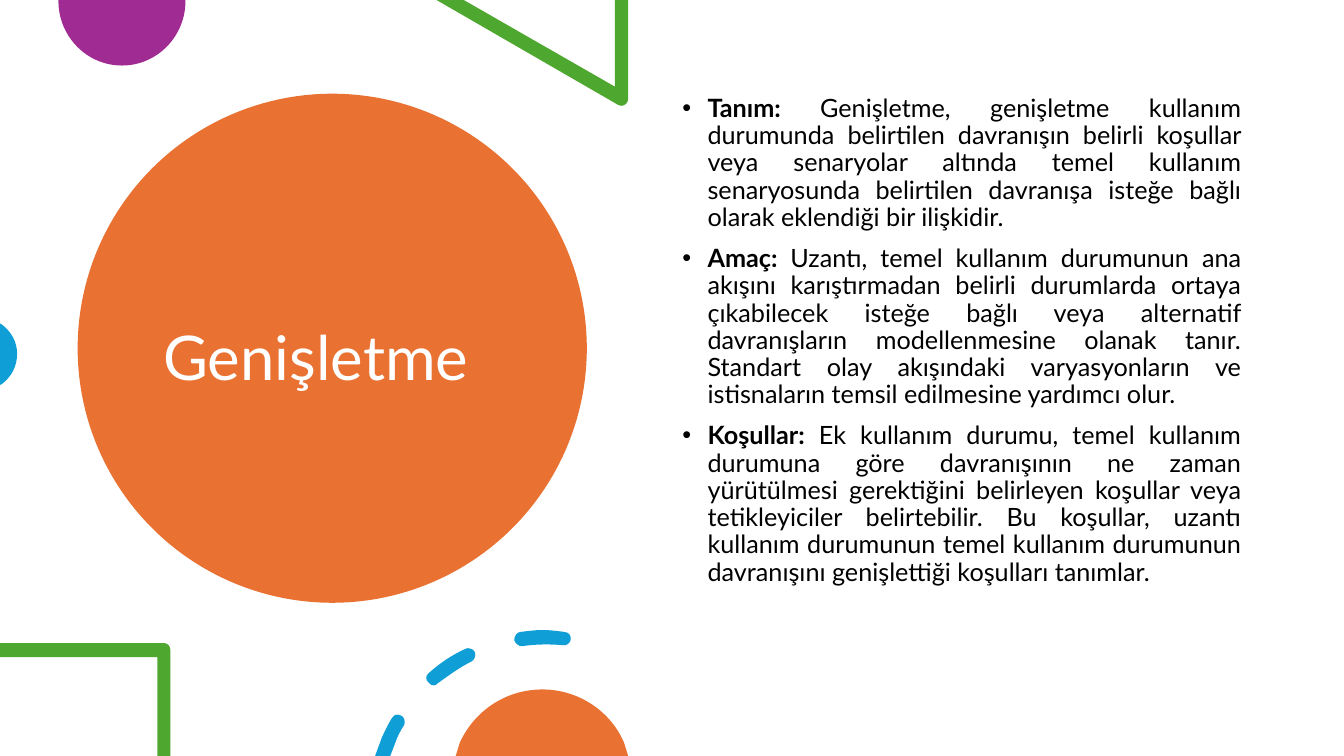
"""Build the Genişletme slide."""
from lxml import etree
from pptx import Presentation
from pptx import util as u
from pptx.dml.color import RGBColor
from pptx.enum import shapes, text
from pptx.oxml import ns

ORANGE = RGBColor(0xE9, 0x71, 0x32)
PURPLE = RGBColor(0xA0, 0x2B, 0x93)
GREEN = RGBColor(0x4E, 0xA7, 0x2E)
BLUE = RGBColor(0x0F, 0x9E, 0xD5)
WHITE = RGBColor(0xFF, 0xFF, 0xFF)
BLACK = RGBColor(0, 0, 0)

TITLE = dict(size=u.Pt(44), name="Lato")
BODY = dict(size=u.Pt(18), name="Lato")
ITEM = dict(alignment=text.PP_ALIGN.JUSTIFY, space_before=u.Pt(10), line_spacing=0.9)

POINTS = [
    ("Tanım: ", "Genişletme, genişletme kullanım durumunda belirtilen davranışın "
     "belirli koşullar veya senaryolar altında temel kullanım senaryosunda belirtilen "
     "davranışa isteğe bağlı olarak eklendiği bir ilişkidir."),
    ("Amaç: ", "Uzantı, temel kullanım durumunun ana akışını karıştırmadan belirli "
     "durumlarda ortaya çıkabilecek isteğe bağlı veya alternatif davranışların "
     "modellenmesine olanak tanır. Standart olay akışındaki varyasyonların ve "
     "istisnaların temsil edilmesine yardımcı olur."),
    ("Koşullar: ", "Ek kullanım durumu, temel kullanım durumuna göre davranışının ne "
     "zaman yürütülmesi gerektiğini belirleyen koşullar veya tetikleyiciler "
     "belirtebilir. Bu koşullar, uzantı kullanım durumunun temel kullanım durumunun "
     "davranışını genişlettiği koşulları tanımlar."),
]

DISC = [(1.84, 0), (0.58, 0), (0.58, 0.01), (0.58, 0.36, 0.86, 0.65, 1.21, 0.65),
        (1.56, 0.65, 1.84, 0.36, 1.84, 0.01)]
WEDGE = [(6.23, 0), (6.1, 0), (6.1, 0.86), (4.6, 0), (4.33, 0), (6.13, 1.04),
         (6.14, 1.05, 6.15, 1.05, 6.16, 1.05), (6.2, 1.05, 6.23, 1.02, 6.23, 0.98)]
DOT = [(0, 3.21), (0, 3.82), (0.02, 3.81), (0.11, 3.74, 0.17, 3.64, 0.17, 3.51),
       (0.17, 3.39, 0.11, 3.29, 0.02, 3.22)]
FRAME = [(1.63, 6.38), (0, 6.38), (0, 6.52), (1.56, 6.52), (1.56, 7.5), (1.69, 7.5),
         (1.69, 6.45), (1.69, 6.41, 1.66, 6.38, 1.63, 6.38)]
DOME = [(5.38, 6.84), (5.01, 6.84, 4.7, 7.06, 4.56, 7.37), (4.52, 7.5), (6.23, 7.5),
        (6.19, 7.37), (6.06, 7.06, 5.74, 6.84, 5.38, 6.84)]
DASHES = [
    [(3.95, 7.09), (3.93, 7.08, 3.9, 7.1, 3.89, 7.12), (3.85, 7.18, 3.82, 7.25, 3.79, 7.31),
     (3.72, 7.5), (3.87, 7.5), (3.92, 7.37), (3.94, 7.31, 3.97, 7.25, 4.01, 7.19),
     (4.02, 7.16, 4.01, 7.11, 3.98, 7.1), (3.97, 7.09, 3.96, 7.09, 3.95, 7.09)],
    [(4.64, 6.43), (4.63, 6.43, 4.62, 6.43, 4.61, 6.44), (4.48, 6.5, 4.36, 6.58, 4.25, 6.68),
     (4.22, 6.7, 4.22, 6.75, 4.25, 6.77), (4.26, 6.79, 4.28, 6.8, 4.3, 6.8), (4.3, 6.8),
     (4.32, 6.8, 4.33, 6.79, 4.34, 6.78), (4.45, 6.7, 4.56, 6.62, 4.68, 6.56),
     (4.71, 6.54, 4.72, 6.5, 4.71, 6.47), (4.69, 6.44, 4.67, 6.43, 4.64, 6.43)],
    [(5.38, 6.25), (5.31, 6.25, 5.24, 6.26, 5.16, 6.27), (5.13, 6.27, 5.1, 6.31, 5.1, 6.35),
     (5.11, 6.38, 5.14, 6.41, 5.17, 6.41), (5.18, 6.41, 5.18, 6.41, 5.18, 6.41),
     (5.32, 6.39, 5.45, 6.39, 5.58, 6.4), (5.62, 6.41, 5.65, 6.38, 5.66, 6.35),
     (5.67, 6.31, 5.64, 6.27, 5.6, 6.27), (5.6, 6.27, 5.6, 6.27, 5.6, 6.27),
     (5.53, 6.26, 5.45, 6.25, 5.38, 6.25)],
]


def cm(inch):
    """Turn inches into a Cm length."""
    return u.Cm(inch * 2.54)


def knots(path):
    """List every corner and control point of a path."""
    return [(cm(x), cm(y)) for seg in path for x, y in zip(seg[::2], seg[1::2])]


def bend(shape, paths):
    """Join each three lines that stand for a cubic curve into one."""
    lines = iter(list(shape._element.iter(ns.qn("a:lnTo"))))
    for seg in (seg for path in paths for seg in path[1:]):
        trio = [next(lines) for _ in seg[::2]]
        if len(trio) == 3:
            curve = etree.Element(ns.qn("a:cubicBezTo"))
            trio[0].addprevious(curve)
            for line in trio:
                curve.append(line[0])
                line.getparent().remove(line)


class Sheet:
    """Hold the style and the current slide."""

    def __init__(self, slide):
        """Keep the slide's shapes."""
        self.items = slide.shapes

    def paint(self, shape, color):
        """Fill a shape and drop its line and shadow."""
        shape.shadow.inherit = False
        shape.fill.solid()
        shape.fill.fore_color.rgb = color
        shape.line.fill.background()

    def oval(self, box, color):
        """Add a filled ellipse."""
        self.paint(self.items.add_shape(shapes.MSO_SHAPE.OVAL, *map(cm, box)), color)

    def form(self, color, *paths):
        """Add one filled outline made of closed paths."""
        first, *rest = map(knots, paths)
        pen = self.items.build_freeform(*first[0], scale=1.0)
        pen.add_line_segments(first[1:], close=True)
        for dots in rest:
            pen.move_to(*dots[0])
            pen.add_line_segments(dots[1:], close=True)
        shape = pen.convert_to_shape()
        bend(shape, paths)
        self.paint(shape, color)

    def frame(self, box, anchor):
        """Add a wrapping text box and return its text frame."""
        area = self.items.add_textbox(*map(cm, box)).text_frame
        area.word_wrap = True
        area.vertical_anchor = anchor
        return area

    def run(self, para, words, style, color, bold=False):
        """Add a styled run."""
        run = para.add_run()
        run.text = words
        for key, value in dict(style, bold=bold).items():
            setattr(run.font, key, value)
        run.font.color.rgb = color

    def title(self, box, words):
        """Add the heading."""
        para = self.frame(box, text.MSO_ANCHOR.MIDDLE).paragraphs[0]
        para.line_spacing = 0.9
        self.run(para, words, TITLE, WHITE)

    def bullets(self, box, points):
        """Add the justified bullet list."""
        area = self.frame(box, text.MSO_ANCHOR.TOP)
        for n, (head, words) in enumerate(points):
            para = area.add_paragraph() if n else area.paragraphs[0]
            for key, value in ITEM.items():
                setattr(para, key, value)
            props = para._p.get_or_add_pPr()
            props.set("marL", str(cm(0.25)))
            props.set("indent", str(cm(-0.25)))
            etree.SubElement(props, ns.qn("a:buFont"), typeface="Arial")
            etree.SubElement(props, ns.qn("a:buChar"), char="•")
            self.run(para, head, BODY, BLACK, True)
            self.run(para, words, BODY, BLACK)


def main():
    """Draw the slide and save it."""
    deck = Presentation()
    deck.slide_width, deck.slide_height = cm(13.33), cm(7.5)
    sheet = Sheet(deck.slides.add_slide(deck.slide_layouts[6]))
    sheet.oval((0.77, 0.93, 5.05, 5.05), ORANGE)
    sheet.title((1.52, 1.35, 3.54, 4.45), "Genişletme")
    sheet.form(PURPLE, DISC)
    sheet.form(GREEN, WEDGE)
    sheet.form(BLUE, DOT)
    sheet.bullets((6.67, 0.9, 5.74, 5.35), POINTS)
    sheet.form(GREEN, FRAME)
    sheet.form(BLUE, *DASHES)
    sheet.form(ORANGE, DOME)
    deck.save("out.pptx")


if __name__ == "__main__":
    main()
